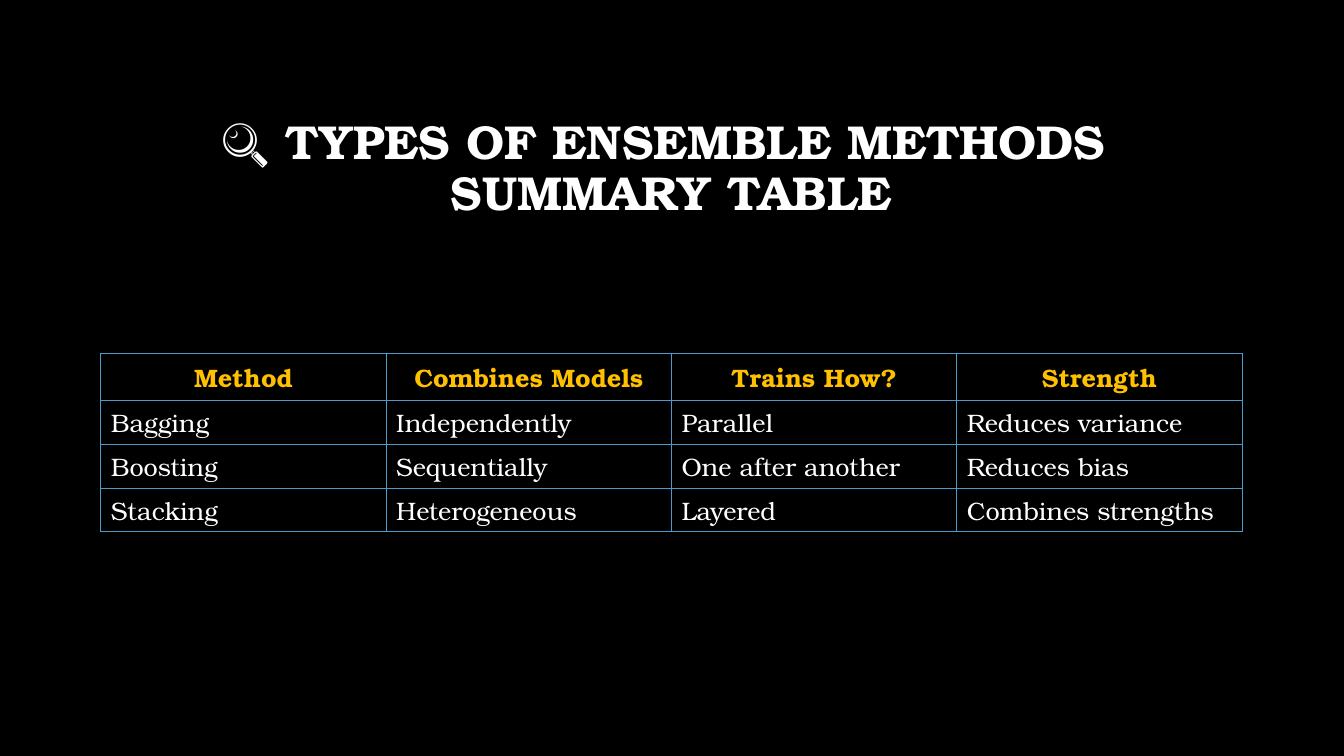
import pptx
import pptx.dml.color
import pptx.enum.text
import pptx.oxml.ns
import pptx.util
from lxml import etree

Inches = pptx.util.Inches
ALIGN = pptx.enum.text.PP_ALIGN
MIDDLE = pptx.enum.text.MSO_ANCHOR.MIDDLE

COLORS = {
    "background": "000000",
    "text": "FFFFFF",
    "header": "FFC000",
    "border": "4A9CCC",
}
FONT = "TeX Gyre Bonum"
LEFT, WIDTH = 1, 11.32
METHODS = [
    ["Method", "Combines Models", "Trains How?", "Strength"],
    ["Bagging", "Independently", "Parallel", "Reduces variance"],
    ["Boosting", "Sequentially", "One after another", "Reduces bias"],
    ["Stacking", "Heterogeneous", "Layered", "Combines strengths"],
]


def rgb(name):
    """Return the named palette colour."""
    return pptx.dml.color.RGBColor.from_string(COLORS[name])


class SlideBuilder:
    """Holds the style and the current slide."""

    def __init__(self, presentation):
        """Add a title-only slide with a plain background."""
        self.slide = presentation.slides.add_slide(presentation.slide_layouts[5])
        fill = self.slide.background.fill
        fill.solid()
        fill.fore_color.rgb = rgb("background")

    def format_text(self, text_frame, size, color, bold, alignment):
        """Format every paragraph and run of a text frame."""
        for paragraph in text_frame.paragraphs:
            paragraph.alignment = alignment
            for run in paragraph.runs:
                run.font.name = FONT
                run.font.size = pptx.util.Pt(size)
                run.font.bold = bold
                run.font.color.rgb = rgb(color)

    def title(self, text, top, height):
        """Fill and place the title placeholder."""
        shape = self.slide.shapes.title
        shape.left, shape.top = Inches(LEFT), Inches(top)
        shape.width, shape.height = Inches(WIDTH), Inches(height)
        text_frame = shape.text_frame
        text_frame.text = text
        text_frame.word_wrap = True
        text_frame.auto_size = pptx.enum.text.MSO_AUTO_SIZE.NONE
        text_frame.vertical_anchor = MIDDLE
        text_frame.paragraphs[0].line_spacing = 0.9
        self.format_text(text_frame, 34, "text", True, ALIGN.CENTER)

    def border(self, cell):
        """Draw a thin line on all four sides of a cell."""
        properties = cell._tc.get_or_add_tcPr()
        qn = pptx.oxml.ns.qn
        for side in ("a:lnL", "a:lnR", "a:lnT", "a:lnB"):
            line = etree.SubElement(properties, qn(side), w=str(pptx.util.Pt(1)))
            solid = etree.SubElement(line, qn("a:solidFill"))
            etree.SubElement(solid, qn("a:srgbClr"), val=COLORS["border"])

    def table(self, rows, top, row_height):
        """Add a bordered table whose first row is the header."""
        shape = self.slide.shapes.add_table(
            len(rows), len(rows[0]), Inches(LEFT), Inches(top),
            Inches(WIDTH), Inches(row_height * len(rows)))
        table = shape.table
        table.first_row = table.horz_banding = False
        for row_index, row in enumerate(rows):
            header = row_index == 0
            for column_index, text in enumerate(row):
                cell = table.cell(row_index, column_index)
                self.border(cell)
                cell.fill.background()
                cell.vertical_anchor = MIDDLE
                cell.text_frame.text = text
                self.format_text(cell.text_frame, 18,
                                 "header" if header else "text", header,
                                 ALIGN.CENTER if header else ALIGN.LEFT)


def main():
    """Build and save the summary slide."""
    presentation = pptx.Presentation()
    presentation.slide_width = Inches(13.33)
    presentation.slide_height = Inches(7.5)
    builder = SlideBuilder(presentation)
    builder.title("🔍 TYPES OF ENSEMBLE METHODS \vSUMMARY TABLE", 0.67, 2.03)
    builder.table(METHODS, 3.51, 0.4)
    presentation.save("out.pptx")


if __name__ == "__main__":
    main()
